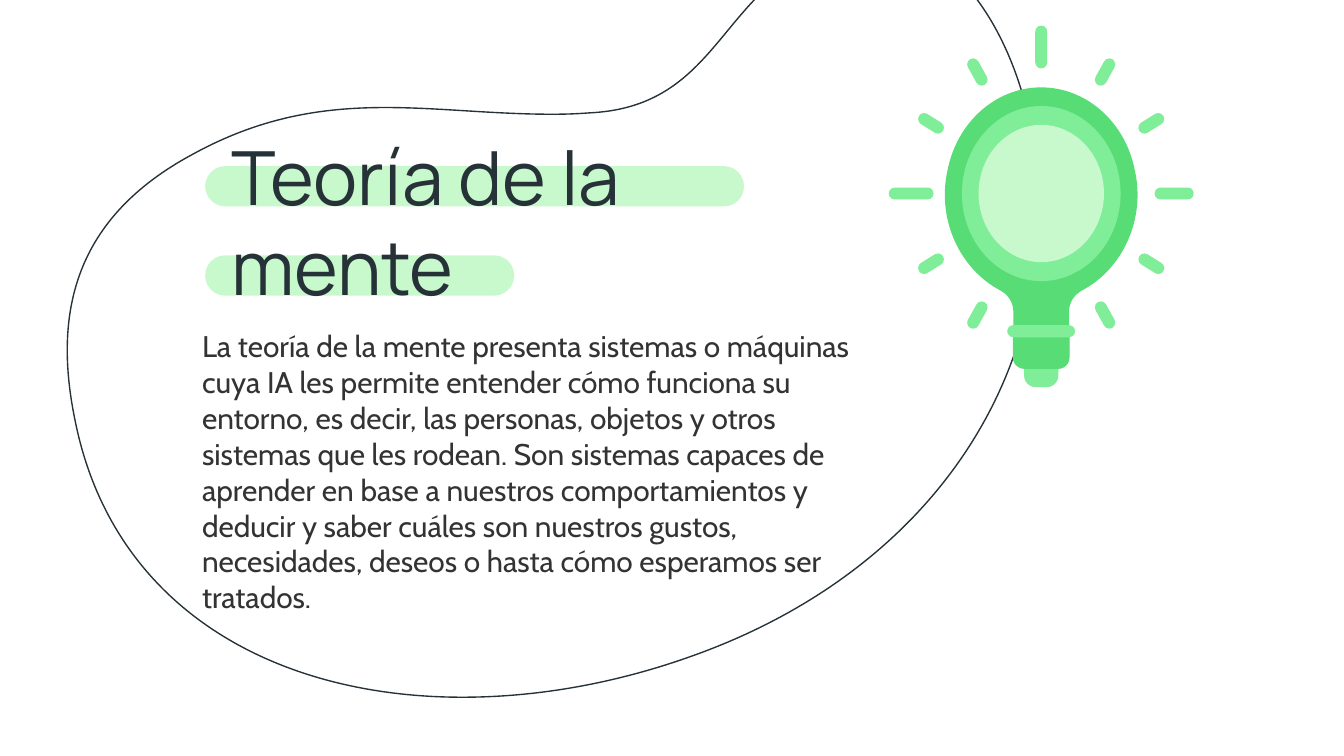
from dataclasses import dataclass

import pptx
import pptx.dml.color
import pptx.enum.shapes
import pptx.enum.text
import pptx.oxml
import pptx.oxml.ns
import pptx.util

Pt = pptx.util.Pt
Shape = pptx.enum.shapes.MSO_SHAPE
qn = pptx.oxml.ns.qn


@dataclass(frozen=True)
class Theme:
    ink: str = "263238"
    body_ink: str = "333333"
    dark_green: str = "58DD76"
    green: str = "80ED99"
    pale_green: str = "C7F9CC"
    title_size: int = 40
    body_size: int = 16


theme = Theme()
rgb = pptx.dml.color.RGBColor.from_string

deck = pptx.Presentation()
deck.slide_width, deck.slide_height = Pt(720), Pt(405)
page = deck.slides.add_slide(deck.slide_layouts[6])


def add_curved(points):
    """Draw a closed outline: a start, then two control points and an end per curve."""
    units = [(x * 100, y * 100) for x, y in points]
    builder = page.shapes.build_freeform(*units[0], scale=Pt(1) / 100)
    builder.add_line_segments(units[1:], close=True)
    shape = builder.convert_to_shape()
    shape.shadow.inherit = False
    lines = list(shape._element.iter(qn("a:lnTo")))
    for first in range(0, len(lines), 3):
        curve = pptx.oxml.parse_xml(
            f'<a:cubicBezTo {pptx.oxml.ns.nsdecls("a")}/>')
        lines[first].addprevious(curve)
        for line in lines[first:first + 3]:
            curve.append(line[0])
            line.getparent().remove(line)
    return shape


def add_filled(kind, left, top, width, height, color, rounding=None, rotation=0):
    shape = page.shapes.add_shape(kind, Pt(left), Pt(top), Pt(width), Pt(height))
    shape.shadow.inherit = False
    shape.fill.solid()
    shape.fill.fore_color.rgb = rgb(color)
    shape.line.fill.background()
    shape.rotation = rotation
    if rounding is not None:
        shape.adjustments[0] = rounding


# Outline around the text
blob = add_curved([
    (468.7, -31.7),
    (457.9, -31.7), (445.7, -28.8), (432.7, -22.3),
    (384.5, 2.9), (380.9, 57.6), (315.4, 60.5),
    (308.9, 61), (302.4, 61.2), (295.9, 61.2),
    (264.2, 61.2), (235.4, 57.6), (206.6, 57.6),
    (172.8, 57.6), (139.7, 62.6), (103, 82.8),
    (40.3, 116.6), (28.1, 167), (40.3, 225.4),
    (60.5, 326.2), (147.6, 373.5), (247.7, 373.5),
    (290.9, 373.5), (335.5, 365), (378.7, 348.5),
    (516.2, 295.9), (579.6, 174.2), (548.6, 53.3),
    (538.6, 16.6), (512.6, -31.7), (468.7, -31.7),
])
blob.fill.background()
blob.line.color.rgb = rgb(theme.ink)
blob.line.width = Pt(0.75)

# Highlights behind the two title lines
for top, width in ((136.8, 165.6), (89, 288.7)):
    add_filled(Shape.ROUNDED_RECTANGLE, 109.9, top, width, 21.6, theme.pale_green, 0.5)

# Title and body
texts = [
    ("Teoría de la mente", (117, 62.9, 304.6, 37.4),
     "Manrope", theme.title_size, theme.ink, 0),
    ("La teoría de la mente presenta sistemas o máquinas cuya IA les permite entender "
     "cómo funciona su entorno, es decir, las personas, objetos y otros sistemas que les "
     "rodean. Son sistemas capaces de aprender en base a nuestros comportamientos y "
     "deducir y saber cuáles son nuestros gustos, necesidades, deseos o hasta cómo "
     "esperamos ser tratados.", (101.2, 168.6, 367.2, 173.5),
     "Cabin", theme.body_size, theme.body_ink, 16),
]
for words, place, font, size, color, space_after in texts:
    box = page.shapes.add_textbox(*map(Pt, place))
    frame = box.text_frame
    frame.word_wrap = True
    frame.vertical_anchor = pptx.enum.text.MSO_ANCHOR.TOP
    frame.margin_left = frame.margin_right = frame.margin_top = frame.margin_bottom = Pt(7.2)
    para = frame.paragraphs[0]
    para.space_after = Pt(space_after)
    span = para.add_run()
    span.text = words
    span.font.name = font
    span.font.size = Pt(size)
    span.font.color.rgb = rgb(color)

# Bulb: the left half is mirrored about its vertical axis
bulb_x, bulb_y = 557.8, 103.7
left_half = [
    (bulb_x, 46.8),
    (533.5, 46.8), (512.6, 65.5), (507.6, 91.4),
    (501.8, 117.4), (514.1, 144), (535.7, 155.5),
    (540, 157.7), (542.9, 162), (542.9, 167),
    (542.9, 175), (542.9, 183), (542.9, 190.8),
    (542.9, 194.4), (545, 197.3), (548.6, 197.3),
]
right_half = [(2 * bulb_x - x, y) for x, y in reversed(left_half)]
bottom_edge = [left_half[-1], right_half[0]]
bulb = add_curved(left_half + bottom_edge + right_half)
bulb.fill.solid()
bulb.fill.fore_color.rgb = rgb(theme.dark_green)
bulb.line.fill.background()

for width, height, color in ((85, 93.8, theme.green), (67.2, 73.6, theme.pale_green)):
    add_filled(Shape.OVAL, bulb_x - width / 2, bulb_y - height / 2, width, height, color)

# Tip, socket and collar
for top, width, height, color, rounding in (
    (194.4, 18.4, 13, theme.green, 0.48),
    (174.2, 30.4, 23.4, theme.dark_green, 0.26),
):
    add_filled(Shape.ROUND_2_SAME_RECTANGLE, bulb_x - width / 2, top, width, height,
               color, rounding, rotation=180)
add_filled(Shape.ROUNDED_RECTANGLE, bulb_x - 18.2, 174.2, 36.4, 6.5, theme.green, 0.5)

# Rays: offset from the bulb centre, length, angle
rays = [(71.2, 0, 21, 0), (-69.7, 0, 24, 0), (0, -78.5, 23, 90)]
for side in (-1, 1):
    for level in (-1, 1):
        rays.append((side * 34.2, level * 65.1, 15.8, side * level * 61))
        rays.append((side * 59, level * 37.6, 15.2, side * level * 32))
for across, down, length, angle in rays:
    add_filled(Shape.ROUNDED_RECTANGLE, bulb_x + across - length / 2, bulb_y + down - 3.2,
               length, 6.4, theme.green, 0.5, angle)

deck.save("out.pptx")
